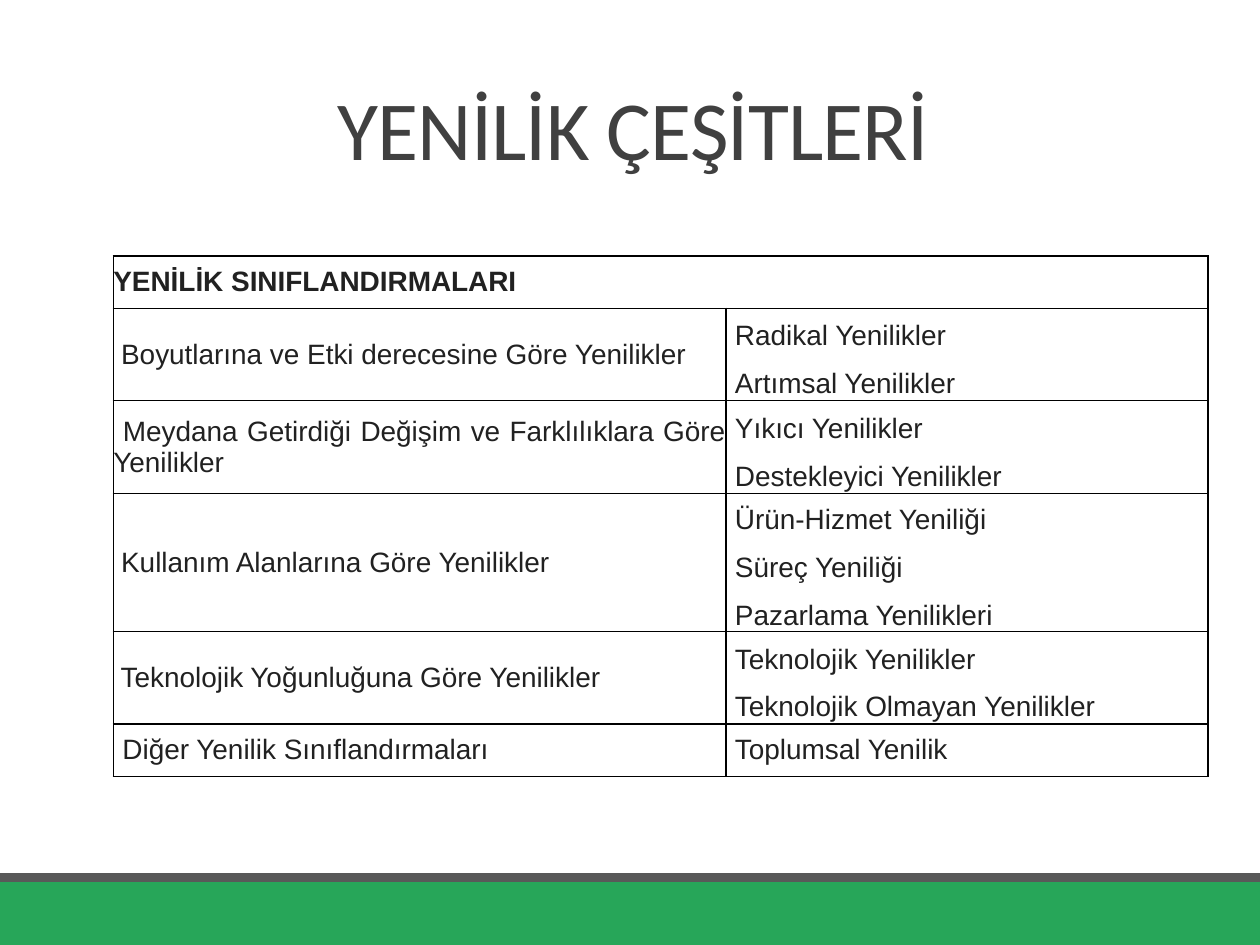
from lxml import etree
from pptx import Presentation
from pptx.dml.color import RGBColor
from pptx.enum.shapes import MSO_SHAPE
from pptx.enum.text import MSO_ANCHOR, MSO_AUTO_SIZE, PP_ALIGN
from pptx.oxml.ns import qn
from pptx.util import Pt

RECT = MSO_SHAPE.RECTANGLE
MIDDLE, BOTTOM = MSO_ANCHOR.MIDDLE, MSO_ANCHOR.BOTTOM
CENTER, JUSTIFY = PP_ALIGN.CENTER, PP_ALIGN.JUSTIFY
NO_AUTOFIT = MSO_AUTO_SIZE.NONE

GREEN = RGBColor(0x27, 0xA6, 0x59)
GRAY = RGBColor(0x59, 0x59, 0x59)
TITLE_GRAY = RGBColor(0x40, 0x40, 0x40)
INK = RGBColor(0x21, 0x21, 0x21)
BLACK = RGBColor(0, 0, 0)

WIDTH, HEIGHT = 720, 540
COL_WIDTHS = [350, 275.6]
ROW_HEIGHTS = [30, 52.8, 53, 77, 53, 29.8]
INDENT = 5.2

HEADER = "YENİLİK SINIFLANDIRMALARI"
# Category, space before it, kinds, space before each, line spacing
ROWS = [
    (" Boyutlarına ve Etki derecesine Göre Yenilikler", 0.2,
     ["Radikal Yenilikler", "Artımsal Yenilikler"], 3.2, 1.35),
    (" Meydana Getirdiği Değişim ve Farklılıklara Göre Yenilikler", 0.2,
     ["Yıkıcı Yenilikler", "Destekleyici Yenilikler"], 3.5, 1.35),
    (" Kullanım Alanlarına Göre Yenilikler", 0,
     ["Ürün-Hizmet Yeniliği", "Süreç Yeniliği", "Pazarlama Yenilikleri"], 3.2, 1.36),
    (" Teknolojik Yoğunluğuna Göre Yenilikler", 0.2,
     ["Teknolojik Yenilikler", "Teknolojik Olmayan Yenilikler"], 3.2, 1.35),
]
LAST_ROW = ["Diğer Yenilik Sınıflandırmaları", "Toplumsal Yenilik"]


class SlideBuilder:
    title_font, body_font = "Calibri", "Arial"
    title_size, body_size = 48, 16

    def __init__(self, prs):
        self.s = prs.slides.add_slide(prs.slide_layouts[5])

    def bar(self, top, height, color):
        sp = self.s.shapes.add_shape(RECT, 0, Pt(top), Pt(WIDTH), Pt(height))
        sp.shadow.inherit = False
        sp.fill.solid()
        sp.fill.fore_color.rgb = color
        sp.line.fill.background()

    def run(self, p, text, font, size, color, bold=False):
        r = p.add_run()
        r.text = text
        r.font.name, r.font.size, r.font.bold = font, Pt(size), bold
        r.font.color.rgb = color
        return r

    def title(self, text, left, top, width, height):
        sp = self.s.shapes.title
        sp.left, sp.top, sp.width, sp.height = Pt(left), Pt(top), Pt(width), Pt(height)
        tf = sp.text_frame
        tf.auto_size, tf.vertical_anchor = NO_AUTOFIT, BOTTOM
        p = tf.paragraphs[0]
        p.alignment, p.line_spacing = CENTER, 0.85
        r = self.run(p, text, self.title_font, self.title_size, TITLE_GRAY)
        r.font._element.set("spc", "-50")

    def table(self, left, top, col_widths, row_heights):
        table = self.s.shapes.add_table(
            len(row_heights), len(col_widths), Pt(left), Pt(top),
            Pt(sum(col_widths)), Pt(sum(row_heights))).table
        table.first_row = table.horz_banding = False
        for col, width in zip(table.columns, col_widths):
            col.width = Pt(width)
        for row, height in zip(table.rows, row_heights):
            row.height = Pt(height)
        for cell in table.iter_cells():
            cell.fill.background()
            cell.vertical_anchor = MIDDLE
            cell.margin_left = cell.margin_right = 0
            cell.margin_top = cell.margin_bottom = 0
            self.borders(cell)
        return table

    def borders(self, cell):
        tc_pr = cell._tc.get_or_add_tcPr()
        for i, side in enumerate(("lnL", "lnR", "lnT", "lnB")):
            ln = etree.Element(qn(f"a:{side}"), w=str(Pt(1)))
            fill = etree.SubElement(ln, qn("a:solidFill"))
            etree.SubElement(fill, qn("a:srgbClr"), val=str(BLACK))
            tc_pr.insert(i, ln)

    def cell_text(self, cell, lines, before, spacing=1.0, indent=0, bold=False):
        tf = cell.text_frame
        for i, line in enumerate(lines):
            p = tf.add_paragraph() if i else tf.paragraphs[0]
            p.alignment, p.line_spacing = JUSTIFY, spacing
            p.space_before = Pt(before)
            p._p.get_or_add_pPr().set("marL", str(Pt(indent)))
            self.run(p, line, self.body_font, self.body_size, INK, bold)


def main():
    prs = Presentation()
    prs.slide_width, prs.slide_height = Pt(WIDTH), Pt(HEIGHT)
    slide = SlideBuilder(prs)

    # Footer bars
    slide.bar(504, 36, GREEN)
    slide.bar(499, 5, GRAY)

    # Title
    slide.title("YENİLİK ÇEŞİTLERİ", 64.8, 22.3, 594, 82.8)

    # Classification table
    table = slide.table(64.8, 146.2, COL_WIDTHS, ROW_HEIGHTS)
    table.cell(0, 0).merge(table.cell(0, 1))
    slide.cell_text(table.cell(0, 0), [HEADER], 3.5, bold=True)
    for i, (category, gap, kinds, before, spacing) in enumerate(ROWS, 1):
        slide.cell_text(table.cell(i, 0), [category], gap)
        slide.cell_text(table.cell(i, 1), kinds, before, spacing, INDENT)
    for j, text in enumerate(LAST_ROW):
        slide.cell_text(table.cell(len(ROWS) + 1, j), [text], 3.2, indent=INDENT)

    prs.save("out.pptx")


if __name__ == "__main__":
    main()
